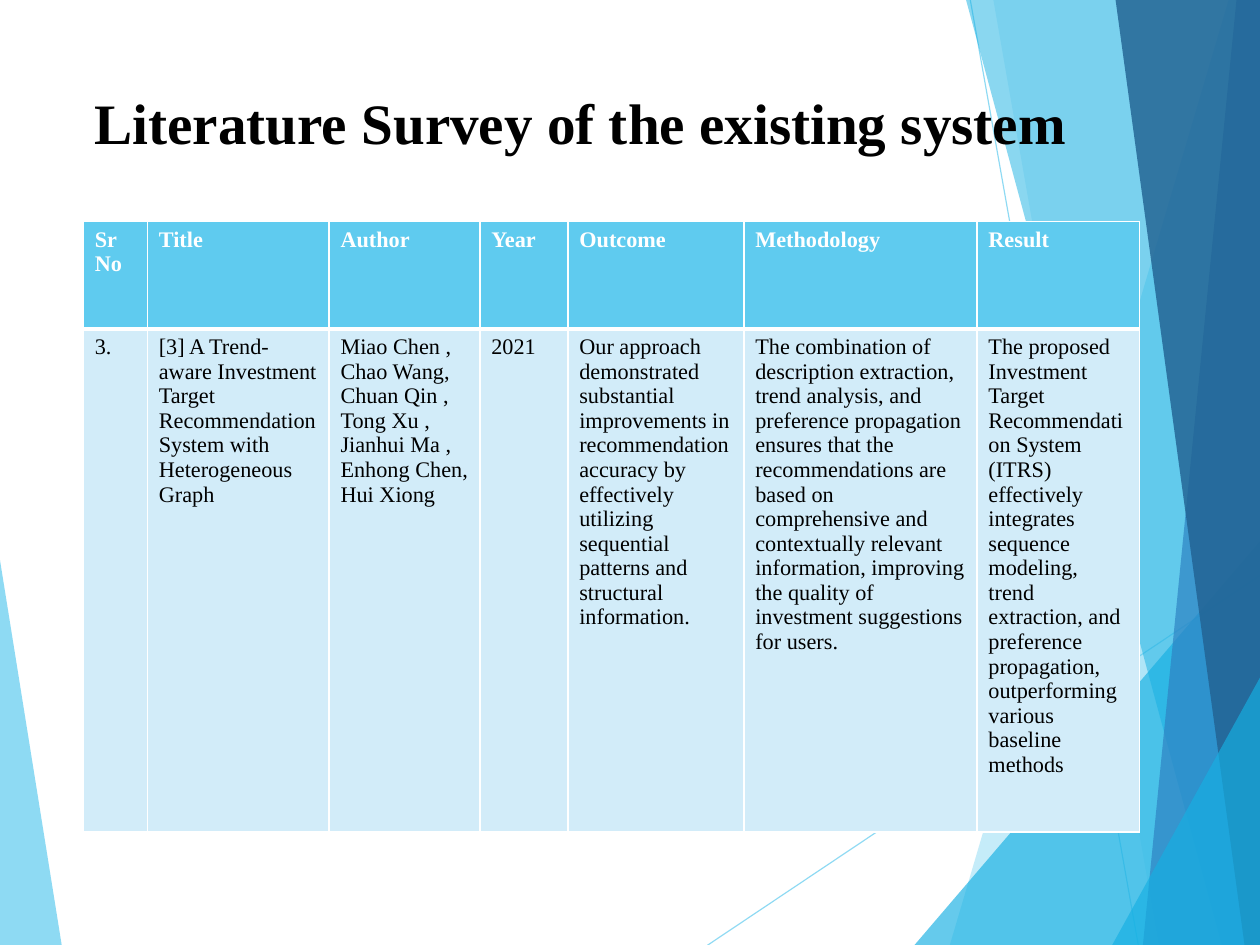
from dataclasses import dataclass

from lxml import etree
from pptx import Presentation
from pptx import util as u
from pptx.dml.color import RGBColor
from pptx.enum import shapes, text
from pptx.oxml.ns import qn

SLIDE_SIZE = u.Emu(10080625), u.Emu(7559675)
LEFT, TOP, RIGHT, BOTTOM = -0.01, -0.01, 11.03, 8.27
FONT = "Times New Roman"
WHITE, BLACK = "FFFFFF", "000000"
SKY, CYAN, BLUE, NAVY, PALE = "5FCBEF", "16B0E3", "2E83C3", "226292", "D2ECF9"

Point = tuple[float, float]


@dataclass
class Facet:
    points: list[Point]
    color: str
    opacity: int


@dataclass
class Ray:
    start: Point
    end: Point


@dataclass
class Column:
    width: float
    header: str
    body: str


RIGHT_EDGE = [(RIGHT, BOTTOM), (RIGHT, TOP)]
LEFT_FACET = Facet([(LEFT, 4.84), (0.54, BOTTOM), (LEFT, BOTTOM)], SKY, 70)
RAYS = [Ray((6.19, BOTTOM), (RIGHT, 5.03)), Ray((8.49, 0), (9.96, BOTTOM))]
RIGHT_FACETS = [
    Facet([(10.75, 0), (8.31, BOTTOM), (RIGHT, BOTTOM), (RIGHT, 0)], SKY, 36),
    Facet([(8.69, TOP), (10.14, BOTTOM), *RIGHT_EDGE], SKY, 20),
    Facet([(8, BOTTOM), (RIGHT, 4.73), (RIGHT, BOTTOM)], CYAN, 66),
    Facet([(8.45, TOP), (10.69, BOTTOM), *RIGHT_EDGE], CYAN, 50),
    Facet([(10.82, TOP), (10, BOTTOM), *RIGHT_EDGE], BLUE, 70),
    Facet([(9.76, TOP), (10.89, BOTTOM), *RIGHT_EDGE], NAVY, 82),
    Facet([(9.73, BOTTOM), (11.04, 5.9), (11.04, BOTTOM)], CYAN, 66),
]
COLUMNS = [
    Column(0.56, "Sr\nNo", "3."),
    Column(1.59, "Title", "[3] A Trend-aware Investment Target Recommendation "
           "System with Heterogeneous Graph"),
    Column(1.32, "Author", "Miao Chen , Chao Wang, Chuan Qin , Tong Xu , "
           "Jianhui Ma , Enhong Chen,\nHui Xiong"),
    Column(0.77, "Year", "2021"),
    Column(1.54, "Outcome", "Our approach demonstrated substantial improvements in "
           "recommendation accuracy by effectively utilizing sequential patterns "
           "and structural information."),
    Column(2.04, "Methodology", "The combination of description extraction, trend "
           "analysis, and preference propagation ensures that the recommendations "
           "are based on comprehensive and contextually relevant information, "
           "improving the quality of investment suggestions for users."),
    Column(1.42, "Result", "The proposed Investment Target Recommendation System "
           "(ITRS) effectively integrates sequence modeling, trend extraction, and "
           "preference propagation, outperforming various baseline methods"),
]
ROW_HEIGHTS = [0.94, 4.4]


def rgb(color: str) -> RGBColor:
    return RGBColor.from_string(color)


def paint(fill, color: str) -> None:
    fill.solid()
    fill.fore_color.rgb = rgb(color)


def set_opacity(sp, percent: int) -> None:
    """Make the first solid colour of the shape (its fill or line) translucent."""
    clr = next(sp._element.spPr.iter(qn("a:srgbClr")))
    etree.SubElement(clr, qn("a:alpha"), val=str(percent * 1000))


def style_text(tf, size: float, color: str, bold: bool) -> None:
    for p in tf.paragraphs:
        for r in p.runs:
            r.font.name, r.font.size, r.font.bold = FONT, u.Pt(size), bold
            r.font.color.rgb = rgb(color)


def draw_facet(slide, facet: Facet) -> None:
    points = [(u.Inches(x), u.Inches(y)) for x, y in facet.points]
    builder = slide.shapes.build_freeform(*points[0])
    builder.add_line_segments(points[1:], close=True)
    sp = builder.convert_to_shape()
    sp.shadow.inherit = False
    paint(sp.fill, facet.color)
    sp.line.fill.background()
    set_opacity(sp, facet.opacity)


def draw_ray(slide, ray: Ray) -> None:
    ends = [u.Inches(v) for v in (*ray.start, *ray.end)]
    line = slide.shapes.add_connector(shapes.MSO_CONNECTOR.STRAIGHT, *ends)
    line.line.width = u.Pt(0.75)
    line.line.color.rgb = rgb(SKY)
    set_opacity(line, 70)
    etree.SubElement(line._element.spPr, qn("a:effectLst"))


def draw_title(slide) -> None:
    box = slide.shapes.add_textbox(*map(u.Inches, (0.73, 0.77, 9.23, 1.59)))
    tf = box.text_frame
    tf.word_wrap = True
    tf.vertical_anchor = text.MSO_ANCHOR.TOP
    tf.text = "Literature Survey of the existing system"
    tf.paragraphs[0].line_spacing = 0.93
    style_text(tf, 36, BLACK, True)


def set_borders(cell, widths: dict[str, float]) -> None:
    """Draw white borders; widths maps L, R, T and B, in that order, to points."""
    props = cell._tc.get_or_add_tcPr()
    for side, width in widths.items():
        ln = etree.SubElement(props, qn(f"a:ln{side}"), w=str(u.Pt(width)))
        fill = etree.SubElement(ln, qn("a:solidFill"))
        etree.SubElement(fill, qn("a:srgbClr"), val=WHITE)


def draw_survey_table(slide) -> None:
    width = sum(c.width for c in COLUMNS)
    frame = slide.shapes.add_table(
        len(ROW_HEIGHTS), len(COLUMNS),
        *map(u.Inches, (0.73, 1.94, width, sum(ROW_HEIGHTS))))
    table = frame.table
    table.horz_banding = False
    for row, height in zip(table.rows, ROW_HEIGHTS):
        row.height = u.Inches(height)
    for i, column in enumerate(COLUMNS):
        table.columns[i].width = u.Inches(column.width)
        for j, words in enumerate((column.header, column.body)):
            header = j == 0
            cell = table.cell(j, i)
            set_borders(cell, {"L": 1, "R": 1, "T": 1 if header else 3,
                               "B": 3 if header else 1})
            paint(cell.fill, SKY if header else PALE)
            cell.text_frame.text = words
            style_text(cell.text_frame, 14, WHITE if header else BLACK, header)


def main() -> None:
    prs = Presentation()
    prs.slide_width, prs.slide_height = SLIDE_SIZE
    slide = prs.slides.add_slide(prs.slide_layouts[6])
    paint(slide.background.fill, WHITE)
    draw_facet(slide, LEFT_FACET)
    for ray in RAYS:
        draw_ray(slide, ray)
    for facet in RIGHT_FACETS:
        draw_facet(slide, facet)
    draw_title(slide)
    draw_survey_table(slide)
    prs.save("out.pptx")


if __name__ == "__main__":
    main()
